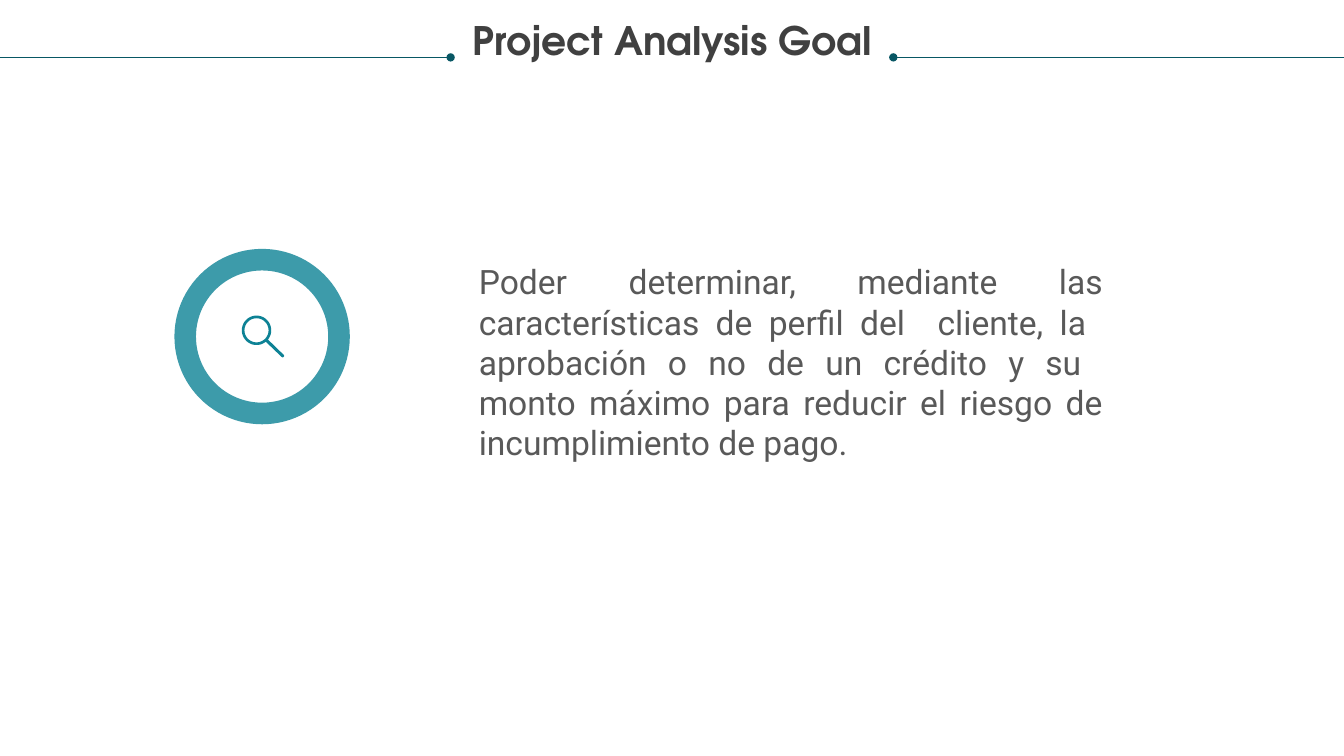
import math

import pptx
import pptx.dml.color
import pptx.enum.shapes
import pptx.enum.text
import pptx.oxml
import pptx.oxml.ns
import pptx.util

Pt = pptx.util.Pt
ALIGN = pptx.enum.text.PP_ALIGN

TITLE = "Project Analysis Goal"
GOAL = (
    "Poder determinar, mediante las características de perfil del  cliente, la  "
    "aprobación o no de un crédito y su  monto máximo para reducir el riesgo de "
    "incumplimiento de pago."
)
COLORS = {"title": "404040", "body": "595959", "rule": "085764", "accent": "0D8295"}

SLIDE_WIDTH, SLIDE_HEIGHT = 960, 540
TITLE_BOX = (18, 15.1, 924, 61.2)
GOAL_BOX = (342, 186.5, 445.7, 116.6)
RULE_TOP, RULE_GAP = 41, 158.1  # gap runs from the slide centre to each dot
RING_BOX = (124.6, 177.8, 125.3, 125.3)
RING_THICKNESS = 0.123
LENS_CENTER, LENS_OUTER, LENS_INNER = (183.25, 235.95), 10.5, 8.6
HANDLE_END, HANDLE_RADIUS = (201.9, 254.2), 1.05
UNITS_PER_POINT = 100


def color(name):
    """Return the named palette colour."""
    return pptx.dml.color.RGBColor.from_string(COLORS[name])


def add_xml(parent, tag, **attributes):
    """Append an empty DrawingML element and return it."""
    element = pptx.oxml.parse_xml(f"<a:{tag} {pptx.oxml.ns.nsdecls('a')}/>")
    for name, value in attributes.items():
        element.set(name, value)
    parent.append(element)
    return element


def fill_placeholder(shape, box, text, size, font, color_name, alignment, spacing, bold):
    """Move a placeholder and write one formatted paragraph into it."""
    shape.left, shape.top, shape.width, shape.height = map(Pt, box)
    frame = shape.text_frame
    frame.margin_left = frame.margin_top = frame.margin_right = frame.margin_bottom = 0
    frame.word_wrap = True
    frame.auto_size = pptx.enum.text.MSO_AUTO_SIZE.NONE
    frame.vertical_anchor = pptx.enum.text.MSO_ANCHOR.TOP
    paragraph = frame.paragraphs[0]
    paragraph.alignment = alignment
    paragraph.line_spacing = spacing
    paragraph.space_before = paragraph.space_after = Pt(0)
    properties = paragraph._p.get_or_add_pPr()
    properties.set("marL", "0")
    properties.set("indent", "0")
    add_xml(properties, "buNone")
    run = paragraph.add_run()
    run.text = text
    run.font.name, run.font.size, run.font.bold = font, Pt(size), bold
    run.font.color.rgb = color(color_name)


def add_rule(slide, edge, dot):
    """Draw a title rule from the slide edge to its dot."""
    line = slide.shapes.add_connector(
        pptx.enum.shapes.MSO_CONNECTOR.STRAIGHT,
        Pt(edge), Pt(RULE_TOP), Pt(dot), Pt(RULE_TOP),
    )
    line.line.color.rgb = color("rule")
    line.line.width = Pt(0.5)
    add_xml(line.line._get_or_add_ln(), "tailEnd", type="oval")
    add_xml(line._element.spPr, "effectLst")


def paint(shape):
    """Give a shape a plain accent fill."""
    shape.shadow.inherit = False
    shape.fill.solid()
    shape.fill.fore_color.rgb = color("accent")
    shape.line.fill.background()


def arc(center, radius, start, end, step=6):
    """List the points of an arc, in freeform units, angles in degrees."""
    count = math.ceil((end - start) / step)
    angles = [math.radians(start + (end - start) * i / count) for i in range(count + 1)]
    return [
        (round((center[0] + radius * math.cos(angle)) * UNITS_PER_POINT),
         round((center[1] + radius * math.sin(angle)) * UNITS_PER_POINT))
        for angle in angles
    ]


def add_magnifier(slide):
    """Draw the magnifier: rim with handle, and the lens opening."""
    outline = arc(LENS_CENTER, LENS_OUTER, 51, 399) + arc(HANDLE_END, HANDLE_RADIUS, -45, 135, 30)
    opening = arc(LENS_CENTER, LENS_INNER, 0, 360)
    builder = slide.shapes.build_freeform(*outline[0], scale=Pt(1) / UNITS_PER_POINT)
    builder.add_line_segments(outline[1:], close=True)
    builder.move_to(*opening[0])
    builder.add_line_segments(opening[1:], close=True)
    paint(builder.convert_to_shape())


presentation = pptx.Presentation()
presentation.slide_width, presentation.slide_height = Pt(SLIDE_WIDTH), Pt(SLIDE_HEIGHT)
slide = presentation.slides.add_slide(presentation.slide_layouts[1])

fill_placeholder(slide.shapes.title, TITLE_BOX, TITLE, 28, "TeX Gyre Adventor",
                 "title", ALIGN.CENTER, 0.9, True)
fill_placeholder(slide.placeholders[1], GOAL_BOX, GOAL, 24, "Roboto",
                 "body", ALIGN.JUSTIFY, 1.0, False)

for edge, side in ((0, -1), (SLIDE_WIDTH, 1)):
    add_rule(slide, edge, SLIDE_WIDTH / 2 + side * RULE_GAP)

ring = slide.shapes.add_shape(pptx.enum.shapes.MSO_SHAPE.DONUT, *map(Pt, RING_BOX))
ring.adjustments[0] = RING_THICKNESS
paint(ring)
add_xml(ring.fill._xPr.solidFill.srgbClr, "alpha", val="80000")
add_magnifier(slide)

presentation.save("out.pptx")
